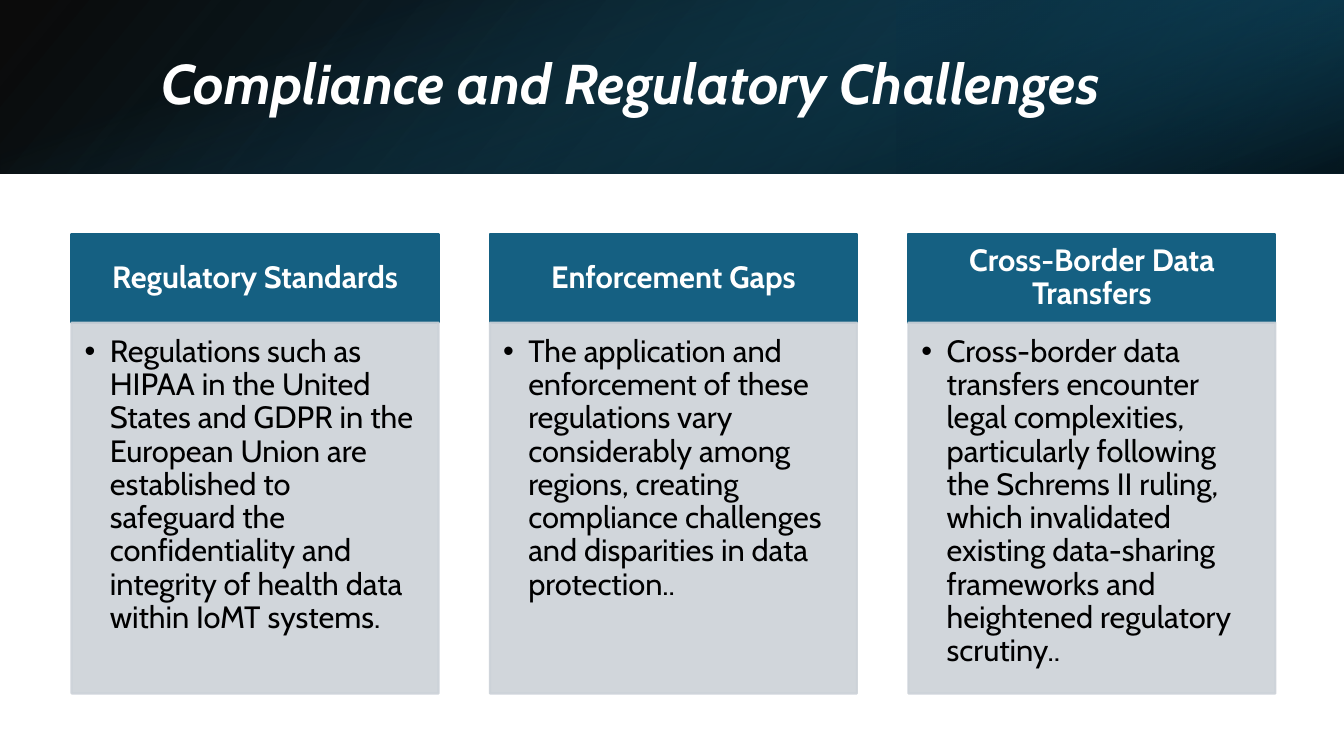
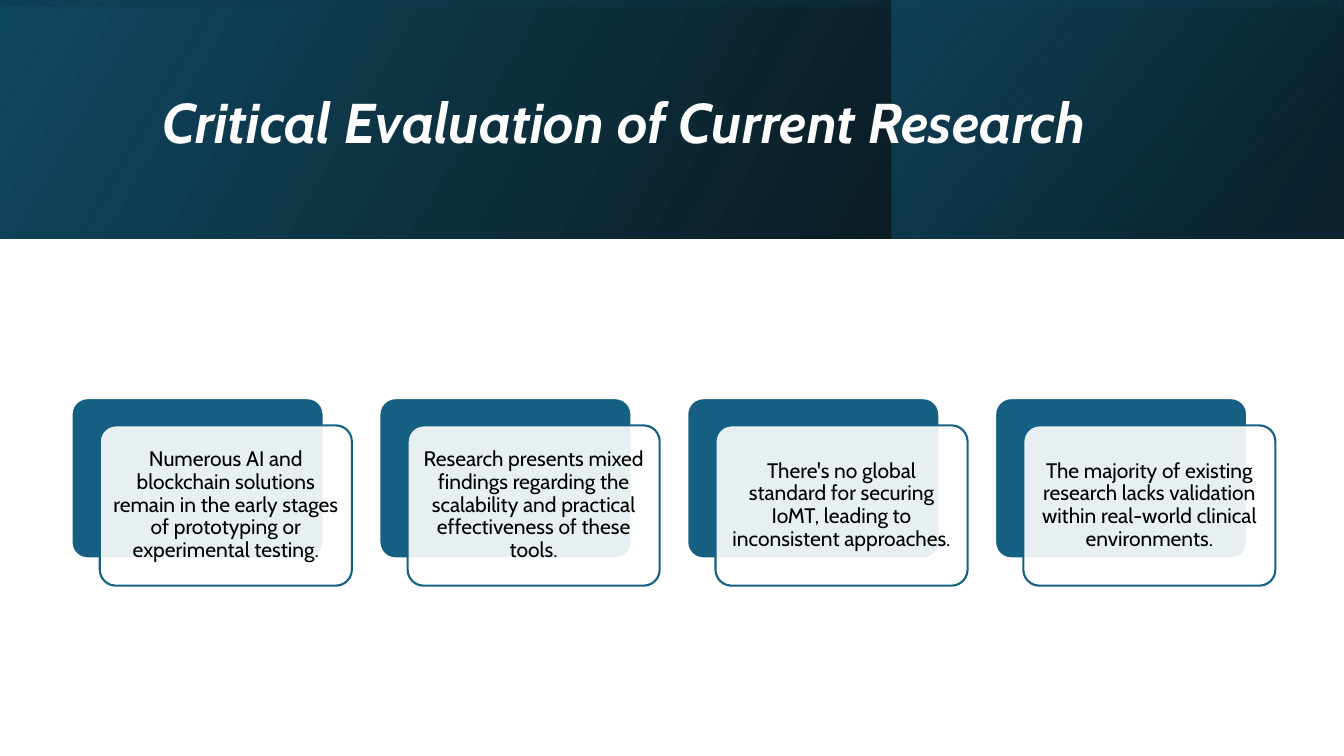
from lxml import etree
from pptx import Presentation
from pptx.dml.color import RGBColor
from pptx.enum import shapes, text
from pptx.oxml import ns
from pptx.util import Inches, Pt

FONT = "Cabin"
WHITE = RGBColor(0xFF, 0xFF, 0xFF)
BLACK = RGBColor(0, 0, 0)
BLUE = RGBColor(0x15, 0x60, 0x82)
NAVY = RGBColor(0x10, 0x48, 0x62)
DEEP = RGBColor(0x0B, 0x30, 0x41)
GREY = RGBColor(0xCC, 0xD2, 0xD8)
RECT = shapes.MSO_SHAPE.RECTANGLE
ROUND = shapes.MSO_SHAPE.ROUNDED_RECTANGLE
WIDE = 13.33
LEFT = 0.71

RULES = [
    ("Regulatory Standards",
     "Regulations such as HIPAA in the United States and GDPR in the European Union are established "
     "to safeguard the confidentiality and integrity of health data within IoMT systems."),
    ("Enforcement Gaps",
     "The application and enforcement of these regulations vary considerably among regions, "
     "creating compliance challenges and disparities in data protection.."),
    ("Cross-Border Data Transfers",
     "Cross-border data transfers encounter legal complexities, particularly following the Schrems II "
     "ruling, which invalidated existing data-sharing frameworks and heightened regulatory scrutiny.."),
]
FLAWS = [
    "Numerous AI and blockchain solutions remain in the early stages of prototyping or experimental testing.",
    "Research presents mixed findings regarding the scalability and practical effectiveness of these tools.",
    "There's no global standard for securing IoMT, leading to inconsistent approaches.",
    "The majority of existing research lacks validation within real-world clinical environments.",
]


def fade(node, alpha):
    if alpha < 100:
        color = node.find(ns.qn("a:srgbClr"))
        etree.SubElement(color, ns.qn("a:alpha"), val=str(alpha * 1000))


def add_box(slide, kind, box, fill, line=None, alpha=100, edge=100):
    shape = slide.shapes.add_shape(kind, *map(Inches, box))
    shape.shadow.inherit = False
    if kind == ROUND:
        shape.adjustments[0] = 0.1
    solid = ns.qn("a:solidFill")
    props = shape._element.spPr
    shape.fill.solid()
    shape.fill.fore_color.rgb = fill
    fade(props.find(solid), alpha)
    if line is None:
        shape.line.fill.background()
    else:
        shape.line.color.rgb = line
        shape.line.width = Pt(1.5)
        fade(props.find(ns.qn("a:ln")).find(solid), edge)
    return shape


def add_layer(slide, box, stops, angle, turn=0, flip=True):
    shape = add_box(slide, RECT, box, NAVY)
    shape.rotation = turn
    props = shape._element.spPr
    if flip:
        props.xfrm.set("flipH", "1")
    shape.fill.gradient()
    shape.fill.gradient_angle = 360 - angle
    nodes = props.iter(ns.qn("a:gs"))
    for stop, node, (place, color, alpha) in zip(shape.fill.gradient_stops, nodes, stops):
        stop.position = place / 100
        stop.color.rgb = color
        fade(node, alpha)


def write(shape, words, size, color=BLACK, bold=False, italic=False, align=text.PP_ALIGN.CENTER,
          anchor=text.MSO_ANCHOR.MIDDLE, inset=(0.1, 0.05, 0.1, 0.05)):
    frame = shape.text_frame
    frame.word_wrap = True
    frame.vertical_anchor = anchor
    frame.margin_left, frame.margin_top, frame.margin_right, frame.margin_bottom = map(Inches, inset)
    frame.text = words
    para = frame.paragraphs[0]
    para.alignment = align
    para.line_spacing = 0.9
    font = para.runs[0].font
    font.name, font.size, font.bold, font.italic = FONT, Pt(size), bold, italic
    font.color.rgb = color
    return para


def add_bullet(para):
    props = para._p.get_or_add_pPr()
    props.set("marL", str(Inches(0.25)))
    props.set("indent", str(-Inches(0.25)))
    etree.SubElement(props, ns.qn("a:buFont"), typeface="Arial")
    etree.SubElement(props, ns.qn("a:buChar"), char="•")


def add_title(slide, words, box):
    write(slide.shapes.add_textbox(*map(Inches, box)), words, 40, WHITE, True, True,
          text.PP_ALIGN.LEFT)


def add_band(slide, high, base, side, veil):
    mid = (WIDE - high) / 2
    add_layer(slide, (0, 0, WIDE, high), [(0, BLACK, 96), (100, NAVY, 100)], base)
    add_layer(slide, (side["left"], 0, side["width"], high),
              [(19, DEEP, 68), (100, BLUE, side["alpha"])], 320, side["turn"])
    add_layer(slide, (mid, -mid, high, WIDE), **veil)


def add_column(slide, left, head, body):
    top = add_box(slide, RECT, (left, 2.32, 3.64, 0.88), BLUE, BLUE)
    write(top, head, 22, WHITE, True, inset=(0.17, 0.1, 0.17, 0.1))
    panel = add_box(slide, RECT, (left, 3.2, 3.64, 3.68), GREY, GREY, 90, 90)
    add_bullet(write(panel, body, 22, align=text.PP_ALIGN.LEFT, anchor=text.MSO_ANCHOR.TOP,
                     inset=(0.13, 0.13, 0.17, 0.19)))


def add_card(slide, left, words):
    add_box(slide, ROUND, (left, 3.95, 2.5, 1.59), BLUE, WHITE)
    front = add_box(slide, ROUND, (left + 0.28, 4.22, 2.5, 1.59), WHITE, BLUE, 90)
    write(front, words, 15, inset=(0.06,) * 4)


def add_rules(slide):
    add_band(slide, 1.72, 140, dict(left=8.89, width=4.44, alpha=79, turn=180),
             dict(stops=[(23, BLUE, 0), (99, BLACK, 74)], angle=340, turn=90, flip=False))
    add_title(slide, "Compliance and Regulatory Challenges", (1.5, 0.38, 10.98, 0.96))
    for i, (head, body) in enumerate(RULES):
        add_column(slide, LEFT + i * 4.15, head, body)


def add_flaws(slide):
    add_band(slide, 2.37, 330, dict(left=8.84, width=4.48, alpha=48, turn=0),
             dict(stops=[(23, NAVY, 16), (99, BLACK, 45)], angle=350, turn=270))
    add_title(slide, "Critical Evaluation of Current Research", (1.51, 0.38, 10.63, 1.72))
    step = (9.87 - LEFT) / (len(FLAWS) - 1)
    for i, words in enumerate(FLAWS):
        add_card(slide, LEFT + i * step, words)


def main():
    deck = Presentation()
    deck.slide_width, deck.slide_height = Inches(WIDE), Inches(7.5)
    for build in (add_rules, add_flaws):
        build(deck.slides.add_slide(deck.slide_layouts[6]))
    deck.save("out.pptx")


if __name__ == "__main__":
    main()
